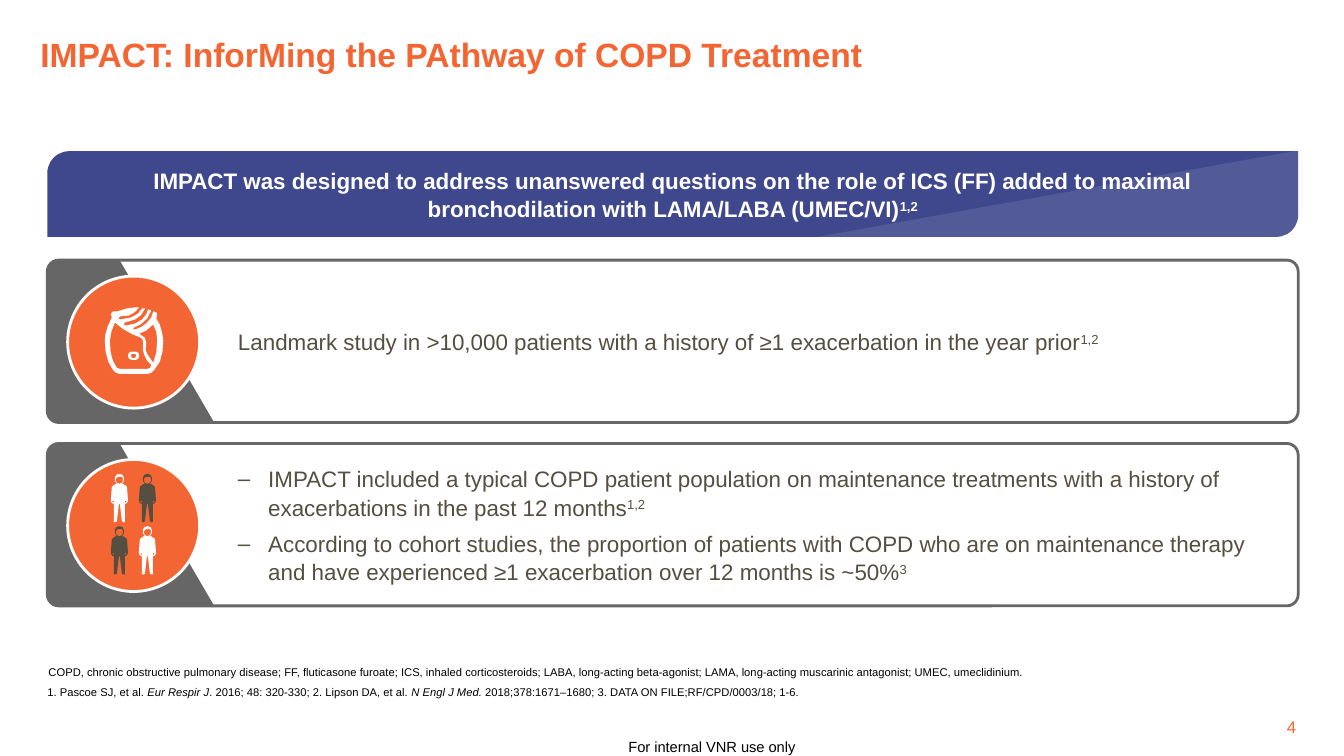
"""Build the IMPACT study overview slide."""
import math
from dataclasses import dataclass

import lxml.etree
import pptx
import pptx.dml.color
import pptx.enum.shapes
import pptx.enum.text
import pptx.oxml.ns
import pptx.util

Pt = pptx.util.Pt
Shape = pptx.enum.shapes.MSO_SHAPE
Align = pptx.enum.text.PP_ALIGN
Anchor = pptx.enum.text.MSO_ANCHOR


@dataclass(frozen=True)
class Theme:
    """Colours, font and type sizes of the slide."""
    font: str = "Arial"
    orange: str = "F36633"
    indigo: str = "40488D"
    gray: str = "666666"
    brown: str = "544F40"
    white: str = "FFFFFF"
    black: str = "000000"
    title: float = 24
    body: float = 16
    number: float = 12
    footer: float = 10.5
    note: float = 8


THEME = Theme()
LEFT, WIDTH = 33.8, 893.5
PANEL_TOP, PANEL_PITCH, PANEL_HEIGHT = 185.8, 131, 116
TEXT_LEFT, TEXT_WIDTH = 170, 743
ICON_UNIT = 0.72

PERSON = [
    [(17, 26), (16, 13), (15, 12), (12, 10), (11, 10), (13, 7), (13, 4), (11.7, 1.2),
     (8.5, 0), (5.3, 1.2), (4, 4), (4, 7), (6, 10), (5, 10), (2, 12), (1, 13), (0, 26),
     (0, 27), (1, 29), (3, 30), (3, 48), (5, 48), (6, 47), (8, 30), (9, 30), (11, 47),
     (12, 48), (14, 48), (14, 30), (16, 29), (17, 27)],
    [(8.5, 10), (6, 9), (5, 7), (5, 5), (7, 3), (11, 3), (12, 4), (12, 7), (11, 9)],
    [(3, 29), (1, 27), (3, 27)],
    [(14, 29), (14, 27), (16, 27)],
]
INHALER = [
    [(51, 11), (52, 7), (51, 5), (48, 4), (46, 10), (42, 15), (37, 19), (30, 22),
     (28.5, 21.5), (28.2, 20.5), (29, 20), (36, 16.5), (42, 11), (46, 3), (43, 2),
     (41, 7), (37, 12), (30, 16), (21, 18), (19.5, 17.5), (19, 16), (20, 15), (30, 12),
     (36, 7.5), (40, 1), (37, 1), (33, 6), (26, 10), (15, 12), (14, 11), (14, 10),
     (15, 9), (24, 8), (30, 4.5), (34, 0), (30, 0), (22, 1), (12, 4), (8, 4), (6.5, 5.5),
     (6, 7), (7, 10), (3, 18.5), (0.5, 27), (0, 33), (0.8, 44), (3.5, 54), (8, 62),
     (11, 65), (15, 66), (42, 66), (46, 65), (49, 62), (54.5, 54), (57.2, 44), (58, 33),
     (57, 26), (54.5, 17)],
    [(45, 60), (42, 61), (15, 61), (12, 60), (8, 53), (5.7, 44), (5, 33), (6.5, 24),
     (10, 15), (18, 21.5), (28, 27), (34, 29.3), (37, 31), (38, 34), (38, 37),
     (37.8, 42), (39, 47), (42, 53), (46, 57)],
    [(48, 55), (42, 46), (40.5, 42), (41, 37), (41, 34), (39.5, 30), (34, 26), (41, 23),
     (48, 17), (51, 24), (52, 33), (51, 45)],
    [(26, 44), (31, 44), (33.2, 45), (34, 47), (34, 48.5), (33, 51), (31, 52),
     (26.5, 52), (24, 51), (23, 48.5), (23, 47), (24, 45)],
    [(27, 46), (30, 46), (31, 47), (31, 48.5), (30, 50), (27, 50), (26, 48.5), (26, 47)],
]


def color(value):
    """Return an RGB colour for a hex string."""
    return pptx.dml.color.RGBColor.from_string(value)


def paint(shape, fill=None, line=None):
    """Set fill and outline and switch the shadow off."""
    shape.shadow.inherit = False
    if fill:
        shape.fill.solid()
        shape.fill.fore_color.rgb = color(fill)
    else:
        shape.fill.background()
    if line:
        shape.line.color.rgb = color(line)
        shape.line.width = Pt(2)
    else:
        shape.line.fill.background()


def add_preset(slide, kind, box, fill=None, line=None, adjustments=()):
    """Add a painted preset shape."""
    shape = slide.shapes.add_shape(kind, *map(Pt, box))
    for index, value in enumerate(adjustments):
        shape.adjustments[index] = value
    paint(shape, fill, line)
    return shape


def add_outline(slide, contours, left, top, unit, fill):
    """Add a freeform whose inner contours are holes."""
    placed = [[(Pt(left + x * unit), Pt(top + y * unit)) for x, y in contour]
              for contour in contours]
    builder = slide.shapes.build_freeform(*placed[0][0])
    for index, contour in enumerate(placed):
        if index:
            builder.move_to(*contour[0])
        builder.add_line_segments(contour[1:], close=True)
    paint(builder.convert_to_shape(), fill)


def write(shape, paragraphs, size, ink, bold=False, align=Align.LEFT,
          anchor=Anchor.TOP, inset=0, spacing=1.0, bullet=None):
    """Fill a shape with paragraphs made of (text, style) runs."""
    frame = shape.text_frame
    frame.word_wrap = True
    frame.auto_size = pptx.enum.text.MSO_AUTO_SIZE.NONE
    frame.vertical_anchor = anchor
    frame.margin_left = frame.margin_right = Pt(inset)
    frame.margin_top = frame.margin_bottom = 0
    for index, runs in enumerate(paragraphs):
        paragraph = frame.add_paragraph() if index else frame.paragraphs[0]
        paragraph.alignment = align
        paragraph.line_spacing = spacing
        paragraph.space_before = Pt(0)
        paragraph.space_after = Pt(6 if bullet else 0)
        properties = paragraph._p.get_or_add_pPr()
        indent = Pt(21.6) if bullet else 0
        properties.set("marL", str(indent))
        properties.set("indent", str(-indent))
        mark = lxml.etree.SubElement(
            properties, pptx.oxml.ns.qn("a:buChar" if bullet else "a:buNone"))
        if bullet:
            mark.set("char", bullet)
        font = paragraph.font
        font.name, font.size, font.bold = THEME.font, Pt(size), bold
        font.color.rgb = color(ink)
        for text, style in runs:
            run = paragraph.add_run()
            run.text = text
            if style == "italic":
                run.font.italic = True
            elif style == "super":
                run._r.get_or_add_rPr().set("baseline", "30000")


def place(shape, box):
    """Move a placeholder to a box and return it."""
    shape.left, shape.top, shape.width, shape.height = map(Pt, box)
    return shape


def add_label(slide, text, box, size, ink, align, anchor):
    """Add a one-line text box."""
    label = slide.shapes.add_textbox(*map(Pt, box))
    write(label, [[(text, "")]], size, ink, align=align, anchor=anchor)


def add_panel(slide, top):
    """Add a framed panel with its slanted tab and icon disc."""
    radius = 8.5
    corners = [(radius, radius, 180), (radius, PANEL_HEIGHT + 0.5 - radius, 90)]
    arcs = [[(x + radius * math.cos(math.radians(start + step)),
              y + radius * math.sin(math.radians(start + step)))
             for step in range(0, 91, 15)] for x, y, start in corners]
    tab = arcs[0] + [(50.5, 0), (52.5, 1.5), (119.5, PANEL_HEIGHT + 0.5)] + arcs[1]
    add_outline(slide, [tab], LEFT, top, 1, THEME.gray)
    add_preset(slide, Shape.ROUNDED_RECTANGLE, (LEFT, top, WIDTH, PANEL_HEIGHT),
               line=THEME.gray, adjustments=[0.07])
    add_preset(slide, Shape.OVAL, (48.3, top + 11.4, 94.3, 94.3), THEME.orange, THEME.white)


def add_banner(slide):
    """Add the headline banner with its pale wedge."""
    banner = add_preset(slide, Shape.ROUND_2_DIAG_RECTANGLE, (LEFT, 108, WIDTH, 61.2),
                        THEME.indigo, adjustments=[0.256, 0])
    write(banner, [[("IMPACT was designed to address unanswered questions on the role of ICS (FF) "
                     "added to maximal bronchodilation with LAMA/LABA (UMEC/VI)", ""),
                    ("1,2", "super")]], THEME.body, THEME.white, bold=True,
          align=Align.CENTER, anchor=Anchor.MIDDLE, inset=60, spacing=1.05)
    wedge = add_preset(slide, Shape.ISOSCELES_TRIANGLE, (582.5, 107.5, 344.5, 62),
                       THEME.white, adjustments=[1])
    tint = wedge.fill._xPr.find(".//" + pptx.oxml.ns.qn("a:srgbClr"))
    lxml.etree.SubElement(tint, pptx.oxml.ns.qn("a:alpha")).set("val", "10000")


def main():
    """Build and save the slide."""
    presentation = pptx.Presentation()
    presentation.slide_width, presentation.slide_height = Pt(960), Pt(540)
    slide = presentation.slides.add_slide(presentation.slide_layouts[4])
    title, abbreviations, statement, references, findings = slide.placeholders

    write(place(title, (28.8, 19.4, 902, 33.8)),
          [[("IMPACT: InforMing the PAthway of COPD Treatment", "")]],
          THEME.title, THEME.orange, bold=True, anchor=Anchor.BOTTOM)
    add_banner(slide)
    panel_tops = [PANEL_TOP + row * PANEL_PITCH for row in range(2)]
    for top in panel_tops:
        add_panel(slide, top)
    add_outline(slide, INHALER, 74.9, 219.6, ICON_UNIT, THEME.white)
    for row in range(2):
        for column in range(2):
            add_outline(slide, PERSON, 79.2 + column * 20, 338.4 + row * 37.4, ICON_UNIT,
                        THEME.white if row == column else THEME.brown)

    write(place(statement, (TEXT_LEFT, panel_tops[0] + 8, TEXT_WIDTH, 100)),
          [[("Landmark study in >10,000 patients with a history of ≥1 exacerbation "
             "in the year prior", ""), ("1,2", "super")]],
          THEME.body, THEME.brown, anchor=Anchor.MIDDLE, spacing=1.05)
    write(place(findings, (TEXT_LEFT, panel_tops[1] + 8, TEXT_WIDTH, 100)),
          [[("IMPACT included a typical COPD patient population on maintenance treatments "
             "with a history of exacerbations in the past 12 months", ""), ("1,2", "super")],
           [("According to cohort studies, the proportion of patients with COPD who are on "
             "maintenance therapy and have experienced ≥1 exacerbation over 12 months is ~50%", ""),
            ("3", "super")]],
          THEME.body, THEME.brown, anchor=Anchor.MIDDLE, spacing=1.05, bullet="–")

    write(place(abbreviations, (34.6, 469.4, 885.6, 15.1)),
          [[("COPD, chronic obstructive pulmonary disease; FF, fluticasone furoate; ICS, inhaled "
             "corticosteroids; LABA, long-acting beta-agonist; LAMA, long-acting muscarinic "
             "antagonist; UMEC, umeclidinium.", "")]],
          THEME.note, THEME.black, anchor=Anchor.BOTTOM)
    write(place(references, (LEFT, 489.6, 846.7, 36.7)),
          [[("1. Pascoe SJ, et al. ", ""), ("Eur Respir J", "italic"),
            (". 2016; 48: 320-330; 2. Lipson DA, et al. ", ""), ("N Engl J Med.", "italic"),
            (" 2018;378:1671–1680; 3. DATA ON FILE;RF/CPD/0003/18; 1-6.", "")]],
          THEME.note, THEME.black)
    add_label(slide, "4", (885.6, 497.5, 40.3, 28.8), THEME.number, THEME.orange,
              Align.RIGHT, Anchor.BOTTOM)
    add_label(slide, "For internal VNR use only", (268.6, 526, 480, 14), THEME.footer,
              THEME.black, Align.CENTER, Anchor.MIDDLE)
    presentation.save("out.pptx")


if __name__ == "__main__":
    main()
